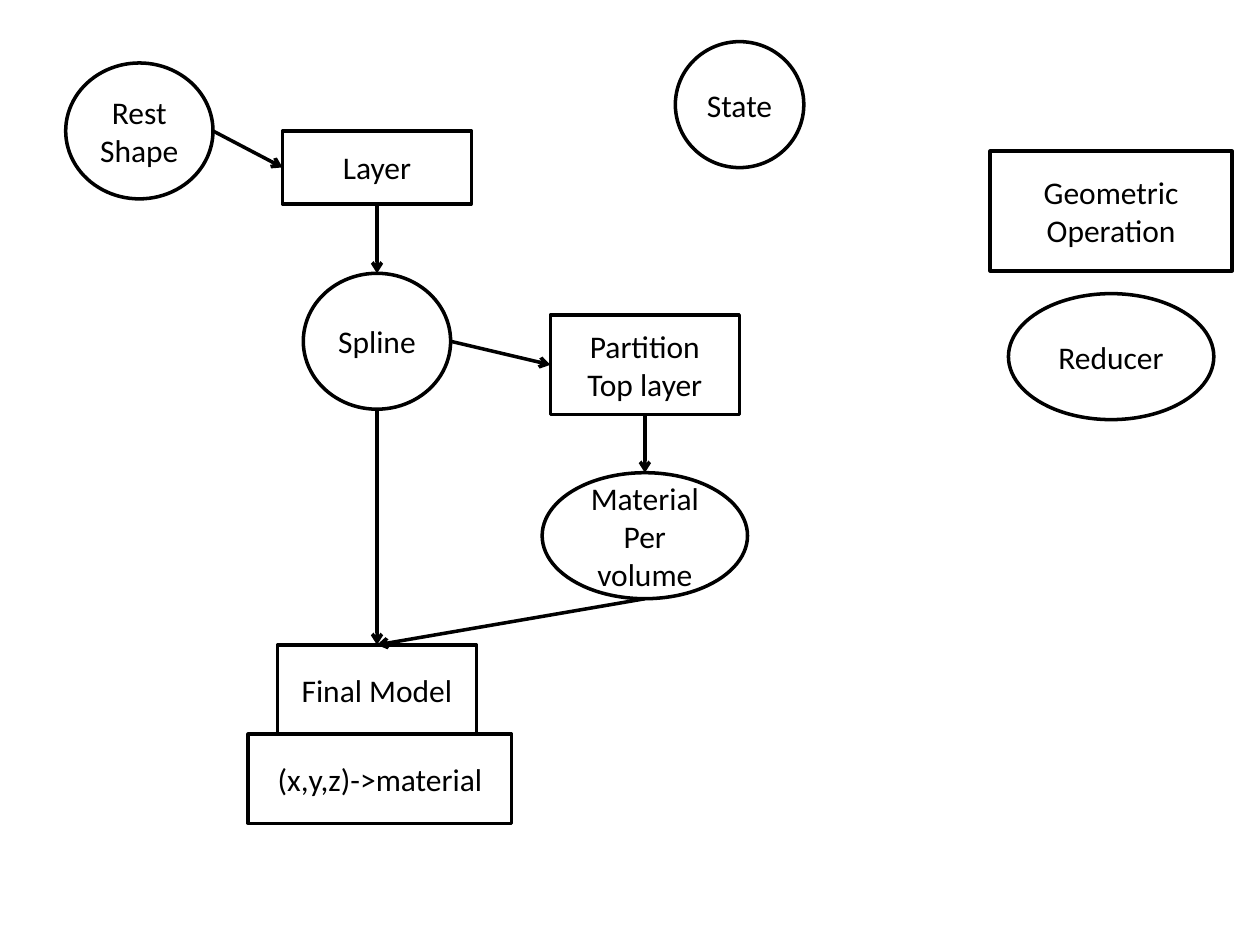
from lxml import etree
from pptx import Presentation
from pptx import util as u
from pptx.dml.color import RGBColor
from pptx.enum import shapes, text
from pptx.oxml.ns import qn

COLOURS = {"ink": "000000", "paper": "FFFFFF"}
FONT = "Calibri"
ELLIPSE = shapes.MSO_SHAPE.OVAL
RECTANGLE = shapes.MSO_SHAPE.RECTANGLE
CIRCLE_SIZE = (2.97, 2.74)
STEP_WIDTH = 3.81
REDUCER_SIZE = (4.14, 2.54)
FINAL_HEIGHT = 1.8


def colour(name):
    """Return the palette colour of that name."""
    return RGBColor.from_string(COLOURS[name])


def outline(line):
    """Give a line the diagram's stroke."""
    line.color.rgb = colour("ink")
    line.width = u.Pt(2)


def add_node(page, kind, centre, top, size, lines):
    """Draw a labelled node around a vertical axis, given in centimetres."""
    width, height = size
    node = page.shapes.add_shape(kind, u.Cm(centre - width / 2), u.Cm(top),
                                 u.Cm(width), u.Cm(height))
    node.shadow.inherit = False
    node.fill.solid()
    node.fill.fore_color.rgb = colour("paper")
    outline(node.line)
    frame = node.text_frame
    frame.word_wrap = True
    frame.vertical_anchor = text.MSO_ANCHOR.MIDDLE
    for index, line in enumerate(lines):
        para = frame.add_paragraph() if index else frame.paragraphs[0]
        para.alignment = text.PP_ALIGN.CENTER
        span = para.add_run()
        span.text = line
        span.font.name = FONT
        span.font.size = u.Pt(18)
        span.font.color.rgb = colour("ink")
    return node


def side(node, name):
    """Return the middle point of one side of a node."""
    across, down = {"top": (0.5, 0), "bottom": (0.5, 1),
                    "left": (0, 0.5), "right": (1, 0.5)}[name]
    return (u.Emu(int(node.left + node.width * across)),
            u.Emu(int(node.top + node.height * down)))


def add_arrow(page, source, exit_side, target, entry_side):
    """Draw a straight arrow between the sides of two nodes."""
    arrow = page.shapes.add_connector(shapes.MSO_CONNECTOR.STRAIGHT,
                                      *side(source, exit_side),
                                      *side(target, entry_side))
    outline(arrow.line)
    etree.SubElement(arrow.line._get_or_add_ln(), qn("a:tailEnd"), type="arrow")
    etree.SubElement(arrow._element.spPr, qn("a:effectLst"))


def add_flow(page, left, top):
    """Draw the modelling flow on its two axes."""
    main, branch = left + 6.28, left + 11.68
    rest = add_node(page, ELLIPSE, left + 1.49, top, CIRCLE_SIZE, ["Rest Shape"])
    layer = add_node(page, RECTANGLE, main, top + 1.37, (STEP_WIDTH, 1.47), ["Layer"])
    spline = add_node(page, ELLIPSE, main, top + 4.24, CIRCLE_SIZE, ["Spline"])
    partition = add_node(page, RECTANGLE, branch, top + 5.08, (STEP_WIDTH, 2.01),
                         ["Partition", "Top layer"])
    material = add_node(page, ELLIPSE, branch, top + 8.26, REDUCER_SIZE,
                        ["Material", "Per volume"])
    final_top = top + 11.73
    final = add_node(page, RECTANGLE, main, final_top, (4.01, FINAL_HEIGHT),
                     ["Final Model"])
    add_node(page, RECTANGLE, main + 0.06, final_top + FINAL_HEIGHT,
             (5.31, FINAL_HEIGHT), ["(x,y,z)->material"])
    for link in [(rest, "right", layer, "left"),
                 (layer, "bottom", spline, "top"),
                 (spline, "right", partition, "left"),
                 (partition, "bottom", material, "top"),
                 (spline, "bottom", final, "top"),
                 (material, "bottom", final, "top")]:
        add_arrow(page, *link)


def add_legend(page, left, top):
    """Draw the key to the node shapes."""
    axis = left + 8.79
    add_node(page, ELLIPSE, left + 1.3, top, (2.59, 2.54), ["State"])
    add_node(page, RECTANGLE, axis, top + 2.21, (4.88, 2.41),
             ["Geometric", "Operation"])
    add_node(page, ELLIPSE, axis, top + 5.08, REDUCER_SIZE, ["Reducer"])


def main():
    """Build and save the deck."""
    deck = Presentation()
    deck.slide_width, deck.slide_height = u.Cm(25.4), u.Cm(19.05)
    page = deck.slides.add_slide(deck.slide_layouts.get_by_name("Blank"))
    add_flow(page, 1.32, 1.27)
    add_legend(page, 13.61, 0.84)
    deck.save("out.pptx")


main()
